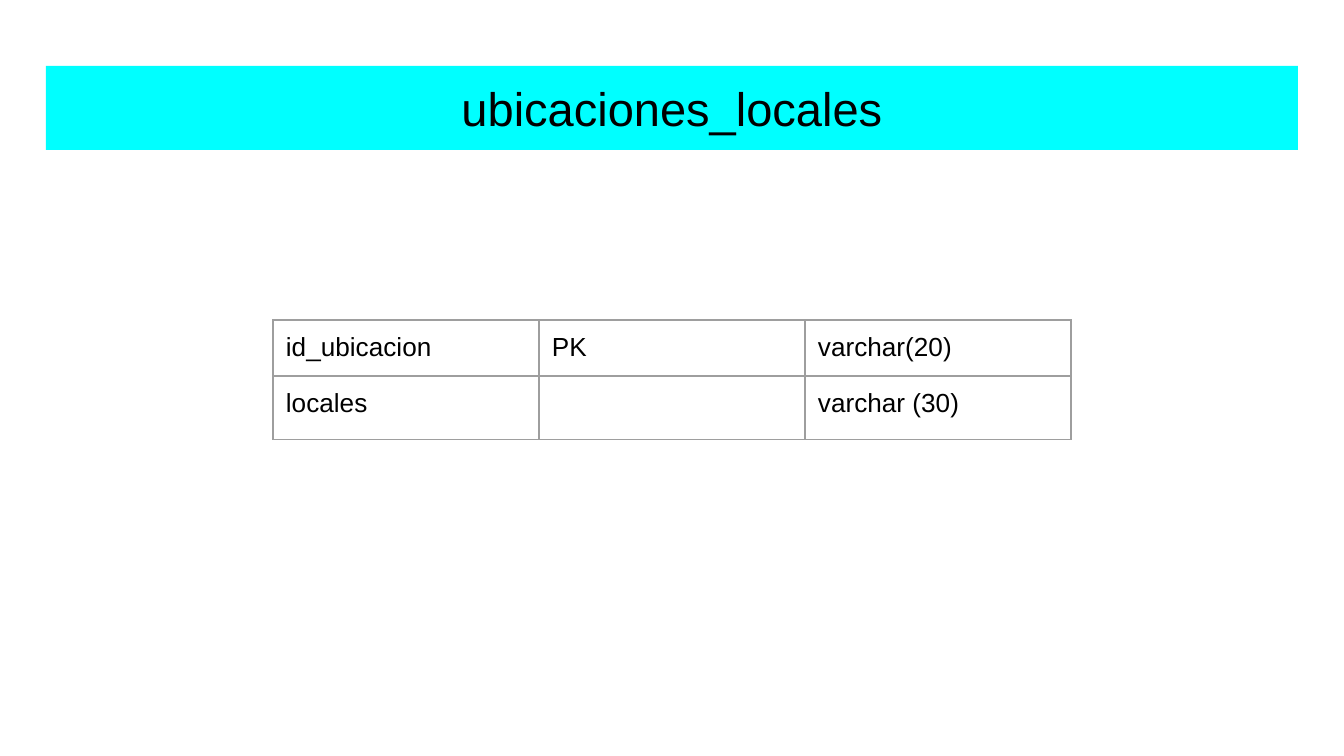
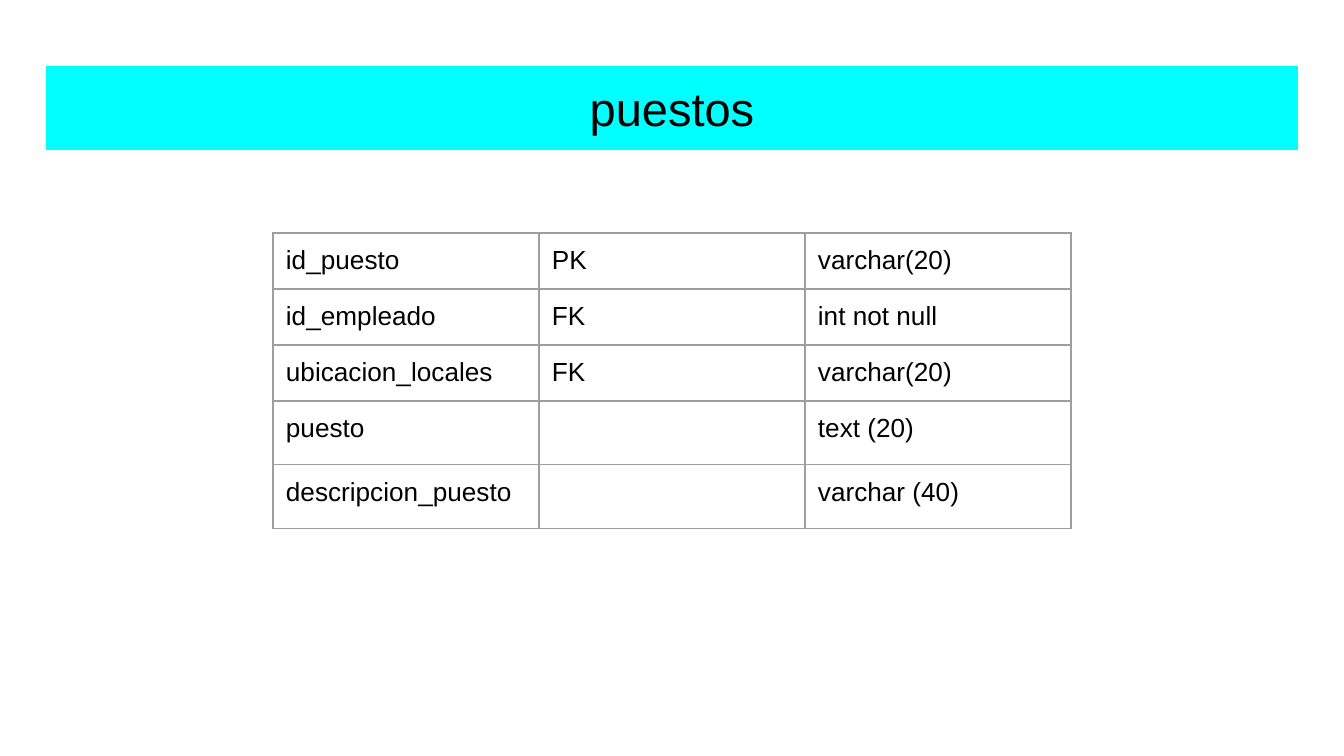
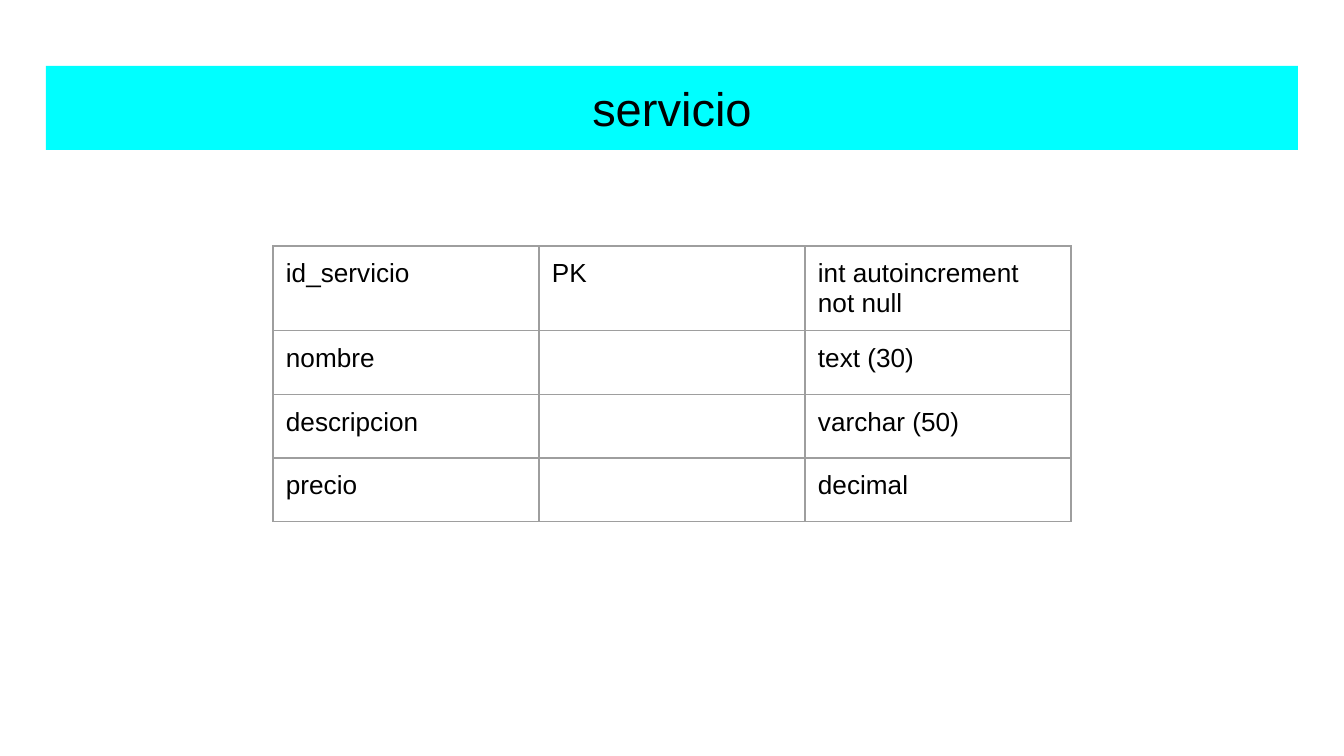
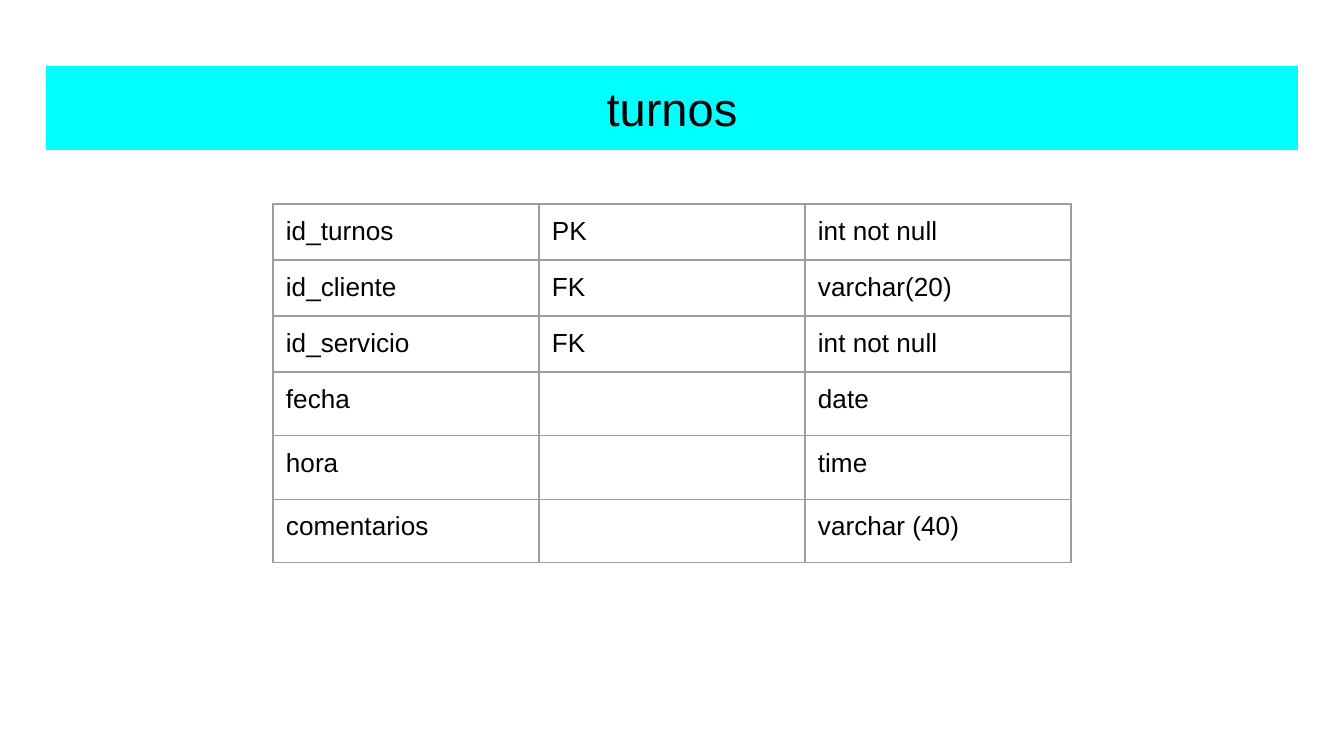
import pptx
import pptx.dml.color
import pptx.enum.shapes
import pptx.enum.text
import pptx.util
from lxml import etree

PX = 914400 / 134.4
COLORS = {"band": "00FFFF", "text": "000000", "border": "9E9E9E"}
FONT = "Arial"
INSET = 13
BAND = (46, 66, 1252, 84)
TABLE_LEFT, COLUMN_WIDTH, ROW_HEIGHT = 273, 266, 56
BORDER_WIDTH = pptx.util.Pt(0.75)
DRAWING = "http://schemas.openxmlformats.org/drawingml/2006/main"

# Each entity: name, top of its table, rows of field, key and type
ENTITIES = [
    ("ubicaciones_locales", 320, [
        ("id_ubicacion", "PK", "varchar(20)"),
        ("locales", "", "varchar (30)"),
    ]),
    ("puestos", 233, [
        ("id_puesto", "PK", "varchar(20)"),
        ("id_empleado", "FK", "int not null"),
        ("ubicacion_locales", "FK", "varchar(20)"),
        ("puesto", "", "text (20)"),
        ("descripcion_puesto", "", "varchar (40)"),
    ]),
    ("servicio", 246, [
        ("id_servicio", "PK", "int autoincrement not null"),
        ("nombre", "", "text (30)"),
        ("descripcion", "", "varchar (50)"),
        ("precio", "", "decimal"),
    ]),
    ("turnos", 204, [
        ("id_turnos", "PK", "int not null"),
        ("id_cliente", "FK", "varchar(20)"),
        ("id_servicio", "FK", "int not null"),
        ("fecha", "", "date"),
        ("hora", "", "time"),
        ("comentarios", "", "varchar (40)"),
    ]),
]


def emu(px):
    return pptx.util.Emu(round(px * PX))


def set_text(holder, text, size):
    """Fill a band or a cell with one styled paragraph and equal insets."""
    for side in ("left", "right", "top", "bottom"):
        setattr(holder, "margin_" + side, emu(INSET))
    paragraph = holder.paragraphs[0] if hasattr(holder, "paragraphs") else holder.text_frame.paragraphs[0]
    if text:
        paragraph.text = text
        font = paragraph.runs[0].font
        font.size = pptx.util.Pt(size)
        font.name = FONT
        font.color.rgb = pptx.dml.color.RGBColor.from_string(COLORS["text"])
    else:
        # An empty cell keeps the default 18 pt, which makes its row taller
        end = etree.SubElement(paragraph._p, f"{{{DRAWING}}}endParaRPr", sz="1800")
        etree.SubElement(end, f"{{{DRAWING}}}latin", typeface=FONT)
    return paragraph


deck = pptx.Presentation()
deck.slide_width, deck.slide_height = emu(1344), emu(756)

for entity, table_top, fields in ENTITIES:
    slide = deck.slides.add_slide(deck.slide_layouts[6])

    # Title band
    band = slide.shapes.add_shape(
        pptx.enum.shapes.MSO_SHAPE.RECTANGLE, *[emu(length) for length in BAND])
    band.shadow.inherit = False
    band.fill.solid()
    band.fill.fore_color.rgb = pptx.dml.color.RGBColor.from_string(COLORS["band"])
    band.line.fill.background()
    band.text_frame.word_wrap = True
    band.text_frame.vertical_anchor = pptx.enum.text.MSO_ANCHOR.MIDDLE
    title = set_text(band.text_frame, entity, 25.2)
    title.alignment = pptx.enum.text.PP_ALIGN.CENTER

    # Field table
    field_table = slide.shapes.add_table(
        len(fields), 3, emu(TABLE_LEFT), emu(table_top),
        emu(3 * COLUMN_WIDTH), emu(len(fields) * ROW_HEIGHT)).table
    field_table.first_row = False
    field_table.horz_banding = False
    for column in field_table.columns:
        column.width = emu(COLUMN_WIDTH)
    for row, field in zip(field_table.rows, fields):
        row.height = emu(ROW_HEIGHT)
        for cell, text in zip(row.cells, field):
            set_text(cell, text, 14)
            properties = cell._tc.get_or_add_tcPr()
            for edge in ("lnL", "lnR", "lnT", "lnB"):
                border = etree.SubElement(properties, f"{{{DRAWING}}}{edge}", w=str(BORDER_WIDTH))
                border_fill = etree.SubElement(border, f"{{{DRAWING}}}solidFill")
                etree.SubElement(border_fill, f"{{{DRAWING}}}srgbClr", val=COLORS["border"])
            cell.fill.background()

deck.save("out.pptx")
